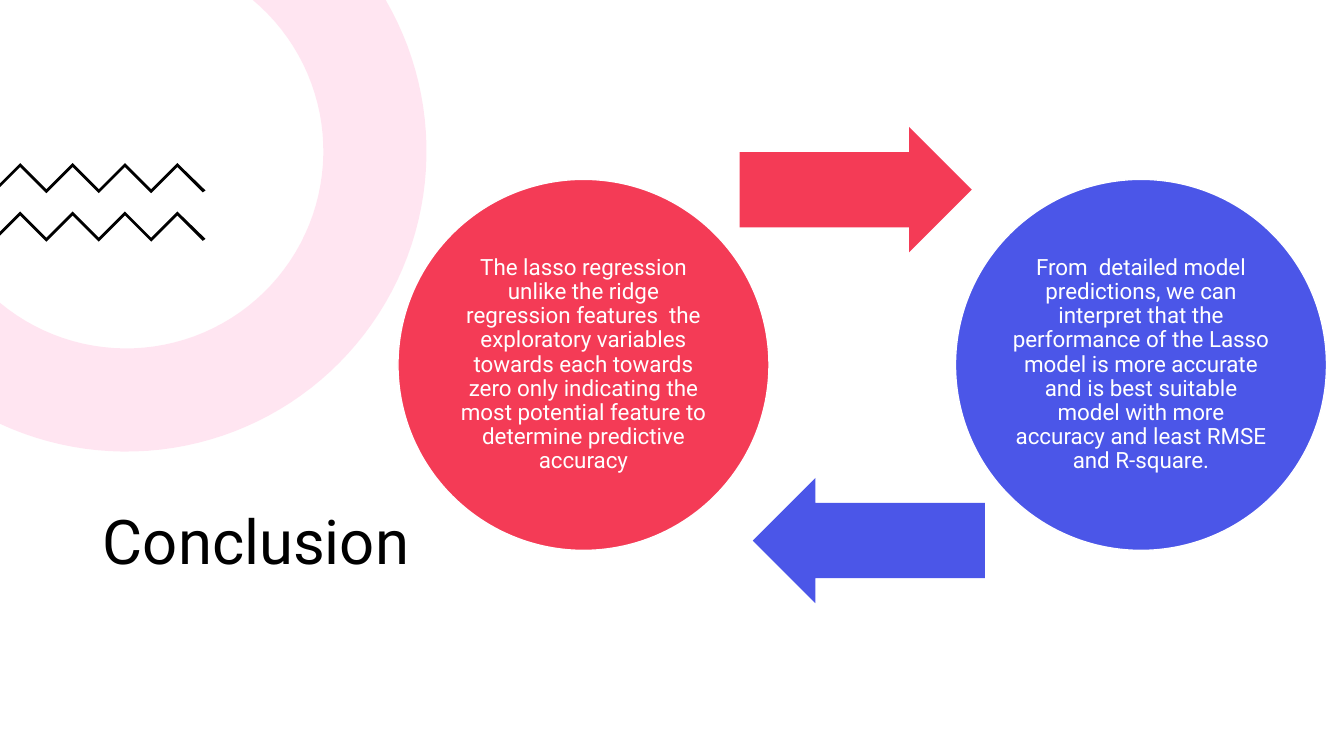
from math import acos, asin, cos, pi, sin

from lxml import etree
from pptx import Presentation
from pptx.dml.color import RGBColor
from pptx.enum.shapes import MSO_SHAPE
from pptx.enum.text import MSO_ANCHOR, MSO_AUTO_SIZE, PP_ALIGN
from pptx.oxml.ns import qn
from pptx.util import Cm, Pt

ELLIPSE, ARROW = MSO_SHAPE.OVAL, MSO_SHAPE.RIGHT_ARROW
LEFT, CENTER = PP_ALIGN.LEFT, PP_ALIGN.CENTER
MIDDLE = MSO_ANCHOR.MIDDLE
TITLE_ONLY = 5
FONT = "Roboto"
COLORS = {
    "red": "F43B56",
    "blue": "4B56E8",
    "pink": "FF80BD",
    "black": "000000",
    "white": "FFFFFF",
}
LASSO_TEXT = (
    "The lasso regression unlike the ridge regression features  the "
    "exploratory variables towards each towards zero only indicating the "
    "most potential feature to determine predictive accuracy"
)
MODEL_TEXT = (
    "From  detailed model predictions, we can interpret that the performance "
    "of the Lasso model is more accurate and is best suitable model with more "
    "accuracy and least RMSE and R-square."
)


def rgb(name):
    return RGBColor.from_string(COLORS[name])


def paint(s, fill, line=None):
    s.shadow.inherit = False
    s.fill.solid()
    s.fill.fore_color.rgb = rgb(fill)
    if line:
        s.line.color.rgb = rgb(line)
        s.line.width = Pt(1)
    else:
        s.line.fill.background()


def set_text(s, text, size, color, align=LEFT, inset=None):
    tf = s.text_frame
    tf.word_wrap = True
    tf.auto_size = MSO_AUTO_SIZE.NONE
    tf.vertical_anchor = MIDDLE
    if inset is not None:
        tf.margin_left = tf.margin_right = Cm(inset)
        tf.margin_top = tf.margin_bottom = Cm(inset)
    p = tf.paragraphs[0]
    p.alignment = align
    p.line_spacing = 0.9
    r = p.add_run()
    r.text = text
    r.font.name = FONT
    r.font.size = Pt(size)
    r.font.color.rgb = rgb(color)


def add_polygon(slide, points, fill):
    start, *rest = [(Cm(x), Cm(y)) for x, y in points]
    builder = slide.shapes.build_freeform(*start)
    builder.add_line_segments(rest, close=True)
    s = builder.convert_to_shape()
    paint(s, fill)
    return s


def clipped_arc(cx, cy, radius, steps=60):
    """Points of a circle from the slide's top edge round to its left edge."""
    first, last = -asin(cy / radius), pi - acos(cx / radius)
    angles = [first + (last - first) * i / steps for i in range(steps + 1)]
    return [(cx + radius * cos(a), cy + radius * sin(a)) for a in angles]


def add_ring(slide, cx, cy, outer, inner, opacity):
    points = clipped_arc(cx, cy, outer) + [(0, 0)][:0]
    points += clipped_arc(cx, cy, inner)[::-1]
    s = add_polygon(slide, points, "pink")
    color = s.fill._xPr.find(qn("a:solidFill"))[0]
    etree.SubElement(color, qn("a:alpha")).set("val", str(opacity * 1000))


def add_zigzag(slide, top, step=0.66, thick=0.1):
    upper = [(0.51 + step * i, top + step * (i % 2)) for i in range(7)]
    lower = [(x, y + thick) for x, y in reversed(upper)]
    tip = [(5.18, top + 0.69), (5.11, top + 0.74)]
    edge = [(0, top + 0.61), (0, top + 0.51)]
    add_polygon(slide, upper + tip + lower + edge, "black")


def add_circle(slide, left, text, fill):
    s = slide.shapes.add_shape(ELLIPSE, Cm(left), Cm(4.52), Cm(9.35), Cm(9.35))
    paint(s, fill, line="white")
    set_text(s, text, 16, "white", align=CENTER, inset=0.05)


def add_arrow(slide, left, top, fill, rotation=0):
    s = slide.shapes.add_shape(ARROW, Cm(left), Cm(top), Cm(5.85), Cm(3.16))
    s.adjustments[0], s.adjustments[1] = 0.6, 0.5
    s.rotation = rotation
    paint(s, fill)


def add_title(slide, text):
    s = slide.shapes.title
    s.left, s.top, s.width, s.height = Cm(2.34), Cm(10.29), Cm(8.89), Cm(6.88)
    set_text(s, text, 44, "black")


def main():
    prs = Presentation()
    prs.slide_width, prs.slide_height = Cm(33.87), Cm(19.05)
    slide = prs.slides.add_slide(prs.slide_layouts[TITLE_ONLY])

    # Decoration in the top left corner
    add_ring(slide, 3.18, 3.81, outer=7.57, inner=4.97, opacity=20)
    for top in (4.11, 5.33):
        add_zigzag(slide, top)

    add_title(slide, "Conclusion")

    # Cycle of two findings
    add_circle(slide, 10.03, LASSO_TEXT, "red")
    add_arrow(slide, 18.64, 3.2, "red")
    add_circle(slide, 24.08, MODEL_TEXT, "blue")
    add_arrow(slide, 18.97, 12.04, "blue", rotation=180)

    prs.save("out.pptx")


if __name__ == "__main__":
    main()
